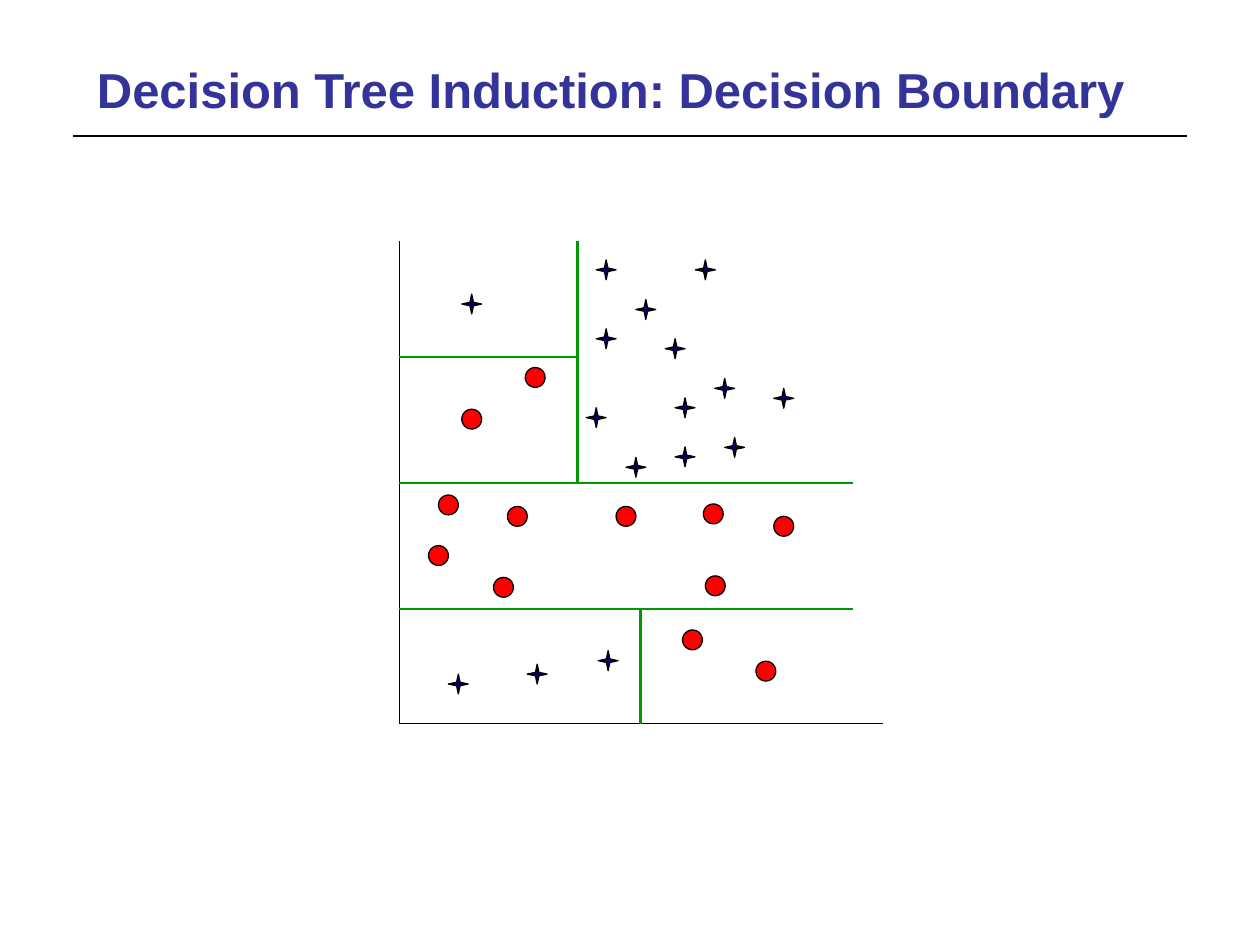
import pptx
import pptx.util
import pptx.dml.color
import pptx.enum.shapes
import pptx.enum.text
import pptx.oxml.ns
import lxml.etree

Cm = pptx.util.Cm
Pt = pptx.util.Pt

COLORS = {
    "title": "333399",
    "ink": "000000",
    "star": "000066",
    "dot": "FF0000",
    "boundary": "009900",
}

LEFT, RIGHT, AXIS_END = 8.05, 17.19, 17.81
TOP, BOTTOM = 4.86, 14.59
UPPER, MIDDLE, LOWER = 7.2, 9.74, 12.28
UPPER_SPLIT, LOWER_SPLIT = 11.64, 12.91

AXES = [
    (LEFT, TOP, LEFT, BOTTOM),
    (LEFT, BOTTOM, AXIS_END, BOTTOM),
]
BOUNDARIES = [
    (LEFT, MIDDLE, RIGHT, MIDDLE),
    (UPPER_SPLIT, TOP, UPPER_SPLIT, MIDDLE),
    (LEFT, UPPER, UPPER_SPLIT, UPPER),
    (LEFT, LOWER, RIGHT, LOWER),
    (LOWER_SPLIT, LOWER, LOWER_SPLIT, BOTTOM),
]
STARS = [
    (14.22, 5.44), (12.22, 5.44), (12.22, 6.83), (13.02, 6.24),
    (13.61, 7.03), (9.24, 13.79), (12.02, 8.42), (13.81, 8.22),
    (12.82, 9.42), (14.61, 7.83), (14.81, 9.02), (15.8, 8.03),
    (12.26, 13.32), (10.83, 13.59), (9.51, 6.13), (13.81, 9.21),
]
DOTS = [
    (8.84, 11.2), (9.04, 10.18), (10.43, 10.41), (10.79, 7.61),
    (10.15, 11.84), (14.38, 10.36), (14.42, 11.81), (15.8, 10.61),
    (13.96, 12.9), (15.44, 13.53), (12.62, 10.41), (9.51, 8.45),
]


class SlideBuilder:
    radius = 0.2
    notch = 0.035
    font = "Arial"

    def __init__(self, slide):
        self.slide = slide
        self.shapes = slide.shapes

    def color(self, name):
        return pptx.dml.color.RGBColor.from_string(COLORS[name])

    def title(self, text):
        box = self.shapes.title
        box.left, box.top, box.width, box.height = Cm(1.7), Cm(1.07), Cm(22.02), Cm(2.54)
        frame = box.text_frame
        frame.word_wrap = True
        frame.auto_size = pptx.enum.text.MSO_AUTO_SIZE.NONE
        frame.vertical_anchor = pptx.enum.text.MSO_ANCHOR.TOP
        para = frame.paragraphs[0]
        para.alignment = pptx.enum.text.PP_ALIGN.LEFT
        span = para.add_run()
        span.text = text
        span.font.name = self.font
        span.font.size = Pt(28)
        span.font.bold = True
        span.font.color.rgb = self.color("title")

    def line(self, ends, color, width):
        connector = self.shapes.add_connector(
            pptx.enum.shapes.MSO_CONNECTOR.STRAIGHT, *[Cm(end) for end in ends])
        connector.line.color.rgb = self.color(color)
        connector.line.width = Pt(width)
        properties = connector._element.spPr
        lxml.etree.SubElement(properties, pptx.oxml.ns.qn("a:effectLst"))

    def paint(self, shape, color):
        shape.shadow.inherit = False
        shape.fill.solid()
        shape.fill.fore_color.rgb = self.color(color)
        shape.line.color.rgb = self.color("ink")
        shape.line.width = Pt(0.75)

    def star(self, x, y):
        far, near = self.radius, self.notch
        offsets = [(-far, 0), (-near, -near), (0, -far), (near, -near),
                   (far, 0), (near, near), (0, far), (-near, near)]
        points = [(Cm(x + dx), Cm(y + dy)) for dx, dy in offsets]
        outline = self.shapes.build_freeform(*points[0])
        outline.add_line_segments(points[1:], close=True)
        self.paint(outline.convert_to_shape(), "star")

    def dot(self, x, y):
        size = Cm(2 * self.radius)
        shape = self.shapes.add_shape(
            pptx.enum.shapes.MSO_SHAPE.OVAL,
            Cm(x - self.radius), Cm(y - self.radius), size, size)
        self.paint(shape, "dot")


def main():
    deck = pptx.Presentation()
    deck.slide_width, deck.slide_height = Cm(25.4), Cm(19.05)
    page = SlideBuilder(deck.slides.add_slide(deck.slide_layouts[5]))
    page.title("Decision Tree Induction: Decision Boundary")
    page.line((1.48, 2.74, 23.92, 2.74), "ink", 1)
    for axis in AXES:
        page.line(axis, "ink", 0.75)
    for center in STARS:
        page.star(*center)
    for boundary in BOUNDARIES:
        page.line(boundary, "boundary", 1.5)
    for center in DOTS:
        page.dot(*center)
    deck.save("out.pptx")


if __name__ == "__main__":
    main()
